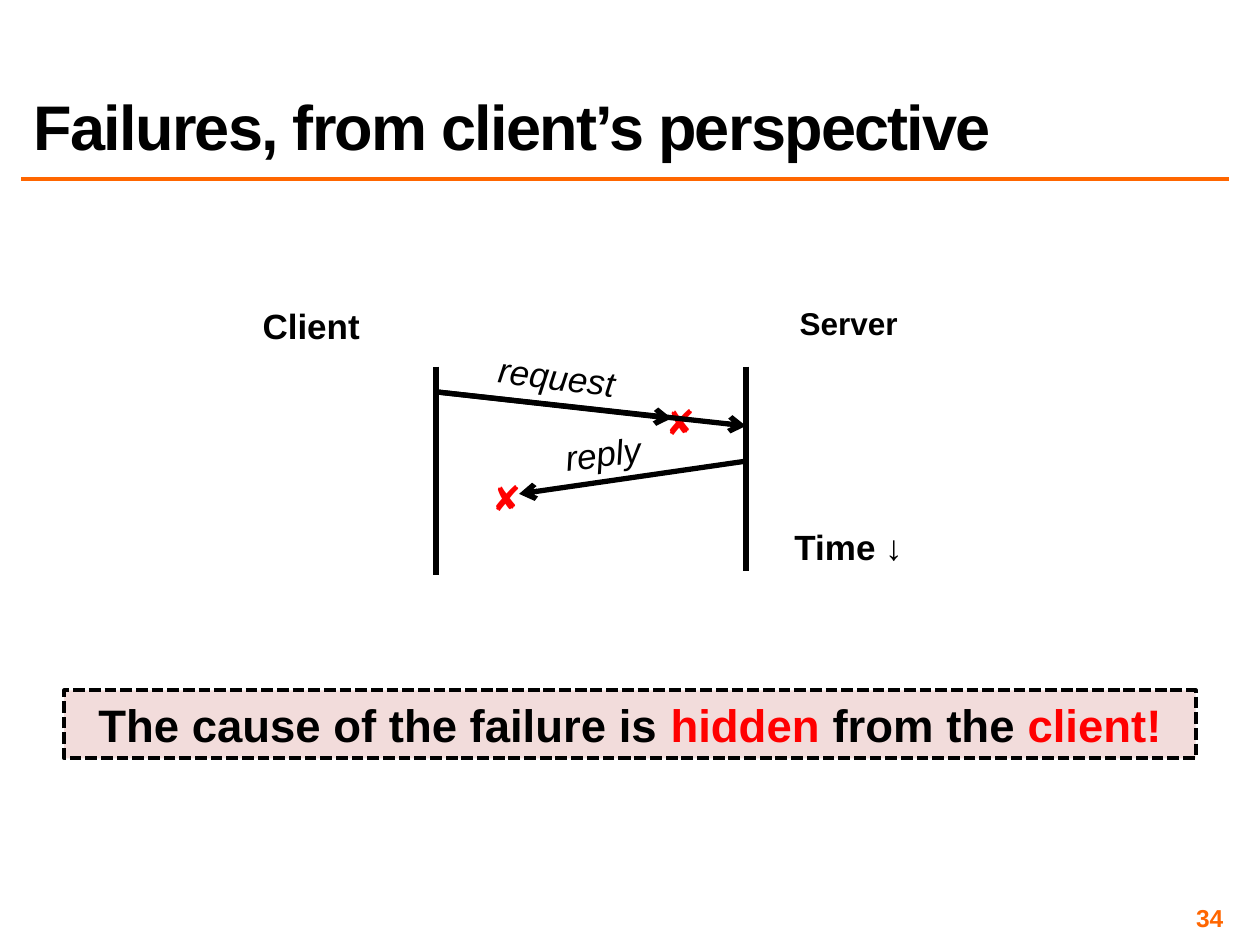
import dataclasses

import lxml.etree
import pptx
import pptx.dml.color
import pptx.enum.dml
import pptx.enum.shapes
import pptx.enum.text
import pptx.oxml.ns
import pptx.util

Inches = pptx.util.Inches
ALIGN = pptx.enum.text.PP_ALIGN
ANCHOR = pptx.enum.text.MSO_ANCHOR


@dataclasses.dataclass(frozen=True)
class Theme:
    """Colours, font and type sizes of the slide."""

    font: str = "Arial"
    ink: str = "000000"
    accent: str = "FF6600"
    alert: str = "FF0000"
    panel: str = "F2DCDB"
    title: int = 36
    callout: int = 26
    label: int = 20
    small_label: int = 18
    number: int = 14
    stroke: float = 3


class SlideBuilder:
    """Draws styled elements on one slide."""

    def __init__(self, slide, theme):
        """Keep the slide and its theme."""
        self.s = slide
        self.theme = theme

    def color(self, value):
        """Turn a hex value into a colour."""
        return pptx.dml.color.RGBColor.from_string(value)

    def fill_text(self, sp, runs, size, align=ALIGN.CENTER, anchor=ANCHOR.TOP,
                  wrap=True, margin=None, bold=False, italic=False,
                  line_spacing=None, tracking=None):
        """Write (text, colour) runs as one paragraph in a shape."""
        tf = sp.text_frame
        tf.word_wrap = wrap
        tf.vertical_anchor = anchor
        if margin is not None:
            tf.margin_left = tf.margin_right = Inches(margin)
            tf.margin_top = tf.margin_bottom = Inches(margin)
        p = tf.paragraphs[0]
        p.alignment = align
        if line_spacing:
            p.line_spacing = line_spacing
        for text, color in runs:
            r = p.add_run()
            r.text = text
            r.font.name = self.theme.font
            r.font.size = pptx.util.Pt(size)
            r.font.bold = bold
            r.font.italic = italic
            r.font.color.rgb = self.color(color)
            if tracking:
                r.font._element.set("spc", str(tracking * 100))

    def text(self, box, text, size, color=None, rotation=0, **style):
        """Add a text box with a single run."""
        sp = self.s.shapes.add_textbox(*map(Inches, box))
        sp.rotation = rotation
        self.fill_text(sp, [(text, color or self.theme.ink)], size, **style)

    def line(self, start, end, color=None, width=None, arrow=False):
        """Add a straight line, with an arrowhead at its end if asked."""
        sp = self.s.shapes.add_connector(
            pptx.enum.shapes.MSO_CONNECTOR.STRAIGHT, *map(Inches, start + end))
        sp.line.color.rgb = self.color(color or self.theme.ink)
        sp.line.width = pptx.util.Pt(width or self.theme.stroke)
        if arrow:
            ln = sp.line._get_or_add_ln()
            lxml.etree.SubElement(ln, pptx.oxml.ns.qn("a:tailEnd"), type="arrow")
        lxml.etree.SubElement(sp._element.spPr, pptx.oxml.ns.qn("a:effectLst"))

    def callout(self, box, runs):
        """Add a dashed, tinted box holding bold runs."""
        sp = self.s.shapes.add_shape(
            pptx.enum.shapes.MSO_SHAPE.RECTANGLE, *map(Inches, box))
        sp.shadow.inherit = False
        sp.fill.solid()
        sp.fill.fore_color.rgb = self.color(self.theme.panel)
        sp.line.color.rgb = self.color(self.theme.ink)
        sp.line.width = pptx.util.Pt(2.25)
        sp.line.dash_style = pptx.enum.dml.MSO_LINE.SQUARE_DOT
        self.fill_text(sp, runs, self.theme.callout, bold=True)


def main():
    """Build the slide and save it."""
    prs = pptx.Presentation()
    prs.slide_width, prs.slide_height = Inches(10), Inches(7.5)
    theme = Theme()
    b = SlideBuilder(prs.slides.add_slide(prs.slide_layouts[6]), theme)

    b.line((0.17, 1.42), (9.75, 1.42), theme.accent, 2)
    b.text((7.42, 7.17, 2.33, 0.23), "34", theme.number, theme.accent,
           align=ALIGN.RIGHT, anchor=ANCHOR.MIDDLE, margin=0.04, bold=True)
    b.text((0.17, 0.17, 9.58, 1.17), "Failures, from client’s perspective",
           theme.title, align=ALIGN.LEFT, anchor=ANCHOR.BOTTOM, bold=True,
           line_spacing=0.8, tracking=-1)

    heading = dict(anchor=ANCHOR.MIDDLE, margin=0, bold=True)
    b.text((2.08, 2.41, 0.78, 0.34), "Client", theme.label, wrap=False, **heading)
    b.text((6.25, 2.41, 0.97, 0.3), "Server", theme.small_label, **heading)
    b.text((6.2, 4.12, 1.07, 0.44), "Time ↓", theme.label, wrap=False, bold=True)

    client_x, server_x = 3.46, 5.92
    for x, bottom in ((client_x, 4.56), (server_x, 4.53)):
        b.line((x, 2.91), (x, bottom))

    for left, top in ((5.16, 3.13), (3.78, 3.73)):
        b.text((left, top, 0.48, 0.44), "✘", theme.label, theme.alert, wrap=False)

    request_start = (client_x, 3.11)
    for start, end in ((request_start, (5.33, 3.32)),
                       (request_start, (server_x, 3.38)),
                       ((server_x, 3.66), (4.12, 3.92))):
        b.line(start, end, arrow=True)

    for box, message, rotation in (((3.85, 2.77, 1.14, 0.44), "request", 7.1),
                                   ((4.38, 3.38, 0.81, 0.44), "reply", 352.5)):
        b.text(box, message, theme.label, rotation=rotation, wrap=False, italic=True)

    b.callout((0.51, 5.48, 8.98, 0.54), [
        ("The cause of the failure is", theme.ink),
        (" hidden ", theme.alert),
        ("from the ", theme.ink),
        ("client!", theme.alert),
    ])
    prs.save("out.pptx")


if __name__ == "__main__":
    main()
